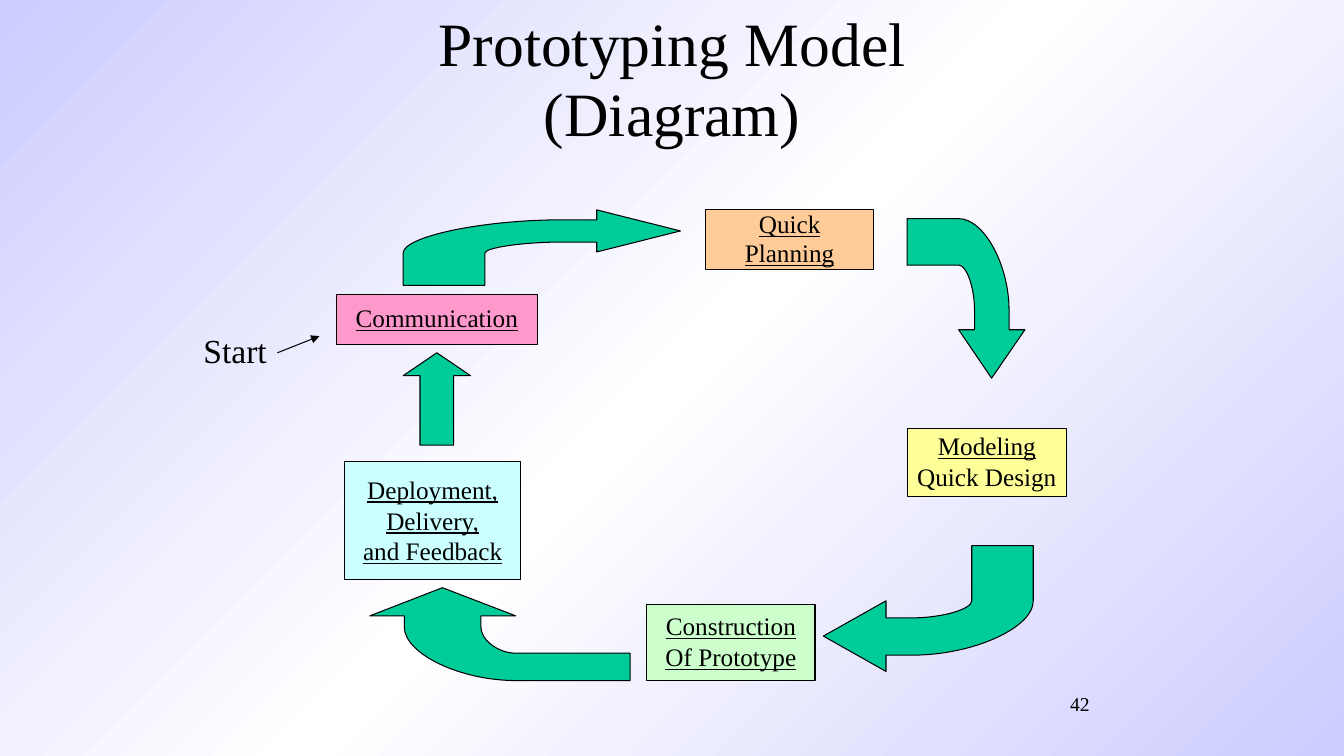
"""Build the prototyping model cycle diagram slide."""
import copy

import lxml.etree
import pptx
import pptx.dml.color
import pptx.enum.shapes
import pptx.enum.text
import pptx.oxml.ns
import pptx.util

Cm = pptx.util.Cm
Pt = pptx.util.Pt
qn = pptx.oxml.ns.qn
ALIGN = pptx.enum.text.PP_ALIGN
ANCHOR = pptx.enum.text.MSO_ANCHOR
SHAPE = pptx.enum.shapes.MSO_SHAPE
COLORS = {
    "ink": "000000", "edge": "CCCCFF", "middle": "FFFFFF", "arrow": "00CC99",
    "communication": "FF99CC", "planning": "FFCC99", "modeling": "FFFF99",
    "construction": "CCFFCC", "deployment": "CCFFFF",
}
RGB = {name: pptx.dml.color.RGBColor.from_string(code) for name, code in COLORS.items()}


def paint(shape, color):
    shape.shadow.inherit = False
    shape.fill.solid()
    shape.fill.fore_color.rgb = RGB[color]
    shape.line.color.rgb = RGB["ink"]
    shape.line.width = Pt(0.74)


def write(shape, lines, size, align, anchor, wrap):
    frame = shape.text_frame
    frame.word_wrap = wrap
    frame.vertical_anchor = anchor
    for index, (text, underlined) in enumerate(lines):
        paragraph = frame.paragraphs[0] if index == 0 else frame.add_paragraph()
        paragraph.alignment = align
        paragraph.line_spacing = 1.0 if index else 0.95
        for part, words in enumerate(text.split("\n")):
            if part:
                paragraph.add_line_break()
            run = paragraph.add_run()
            run.text = words
            run.font.name = "Times New Roman"
            run.font.size = Pt(size)
            run.font.underline = underlined
            run.font.color.rgb = RGB["ink"]


deck = pptx.Presentation()
deck.slide_width, deck.slide_height = Cm(33.87), Cm(19.05)
slide = deck.slides.add_slide(deck.slide_layouts[6])

backdrop = slide.background.fill
backdrop.gradient()
backdrop.gradient_angle = 315
stops = slide.element.xpath(".//a:gsLst")[0]
stops.insert(1, copy.deepcopy(stops[0]))
for stop, position, color in zip(backdrop.gradient_stops, (0, 0.5, 1), ("edge", "middle", "edge")):
    stop.position = position
    stop.color.rgb = RGB[color]

page_number = slide.shapes.add_textbox(Cm(22.43), Cm(17.35), Cm(5.28), Cm(0.84))
write(page_number, [("42", False)], 14, ALIGN.RIGHT, ANCHOR.TOP, True)
title = slide.shapes.add_textbox(Cm(6.15), Cm(0.13), Cm(21.59), Cm(3.78))
write(title, [("Prototyping Model\n(Diagram)", False)], 44, ALIGN.CENTER, ANCHOR.MIDDLE, True)

steps = [
    ("communication", (8.47, 7.41, 5.08, 1.27), [("Communication", True)]),
    ("planning", (17.78, 5.29, 4.24, 1.5), [("Quick Planning", True)]),
    ("modeling", (22.86, 10.8, 4.02, 1.7), [("Modeling", True), ("Quick Design", False)]),
    ("construction", (16.3, 15.24, 4.24, 1.9), [("Construction", True), ("Of Prototype", True)]),
    ("deployment", (8.68, 11.64, 4.45, 2.97),
     [("Deployment,", True), ("Delivery,", True), ("and Feedback", True)]),
]
for color, bounds, lines in steps:
    step = slide.shapes.add_shape(SHAPE.ROUNDED_RECTANGLE, *map(Cm, bounds))
    step.adjustments[0] = 0
    paint(step, color)
    write(step, lines, 18, ALIGN.CENTER, ANCHOR.MIDDLE, len(lines) == 1)

bent_arrows = [
    [(10.16, 7.19), (10.16, 6.38), (10.16, 5.54, 14.17, 5.54), (15.04, 5.54), (15.04, 5.29),
     (17.15, 5.82), (15.04, 6.35), (15.04, 6.1), (14.17, 6.1), (12.22, 6.1, 12.22, 6.38),
     (12.22, 7.19)],
    [(22.86, 5.51), (24.16, 5.51), (25.43, 5.51, 25.43, 7.82), (25.43, 8.31), (25.83, 8.31),
     (24.99, 9.53), (24.16, 8.31), (24.56, 8.31), (24.56, 7.82), (24.56, 6.68, 24.16, 6.68),
     (22.86, 6.68)],
    [(26.04, 13.75), (26.04, 15.14), (26.04, 16.51, 22.99, 16.51), (22.33, 16.51), (22.33, 16.92),
     (20.75, 16.03), (22.33, 15.14), (22.33, 15.57), (22.99, 15.57), (24.49, 15.57, 24.49, 15.14),
     (24.49, 13.75)],
    [(15.88, 17.15), (13, 17.15), (10.19, 17.15, 10.19, 15.8), (10.19, 15.52), (9.32, 15.52),
     (11.15, 14.81), (13, 15.52), (12.12, 15.52), (12.12, 15.8), (12.12, 16.46, 13, 16.46),
     (15.88, 16.46)],
]
for corners in bent_arrows:
    outline = [(Cm(corner[-2]), Cm(corner[-1])) for corner in corners]
    builder = slide.shapes.build_freeform(*outline[0])
    builder.add_line_segments(outline[1:], close=True)
    arrow = builder.convert_to_shape()
    paint(arrow, "arrow")
    segments = arrow._element.xpath(".//a:lnTo")
    for index, corner in enumerate(corners):
        if len(corner) == 2:
            continue
        turn = Cm(corner[0]), Cm(corner[1])
        start, end = outline[index - 1], outline[index]
        controls = [[(a + b) // 2 for a, b in zip(point, turn)] for point in (start, end)]
        bend = lxml.etree.Element(qn("a:cubicBezTo"))
        for x, y in [*controls, end]:
            lxml.etree.SubElement(bend, qn("a:pt"), x=str(x - arrow.left), y=str(y - arrow.top))
        segment = segments[index - 1]
        segment.getparent().replace(segment, bend)

feedback_arrow = slide.shapes.add_shape(SHAPE.UP_ARROW, Cm(10.16), Cm(8.89), Cm(1.7), Cm(2.33))
feedback_arrow.adjustments[0] = 0.5
feedback_arrow.adjustments[1] = 0.34
paint(feedback_arrow, "arrow")

start = slide.shapes.add_shape(SHAPE.ROUNDED_RECTANGLE, Cm(4.87), Cm(8.26), Cm(2.11), Cm(1.27))
start.adjustments[0] = 0
start.shadow.inherit = False
start.fill.background()
start.line.fill.background()
write(start, [("Start", False)], 24, ALIGN.CENTER, ANCHOR.TOP, False)

start_pointer = slide.shapes.add_connector(
    pptx.enum.shapes.MSO_CONNECTOR.STRAIGHT, Cm(6.99), Cm(8.89), Cm(8.05), Cm(8.47))
start_pointer.line.color.rgb = RGB["ink"]
start_pointer.line.width = Pt(0.74)
outline_properties = start_pointer._element.spPr.find(qn("a:ln"))
lxml.etree.SubElement(outline_properties, qn("a:tailEnd"), type="triangle")
lxml.etree.SubElement(start_pointer._element.spPr, qn("a:effectLst"))

deck.save("out.pptx")
